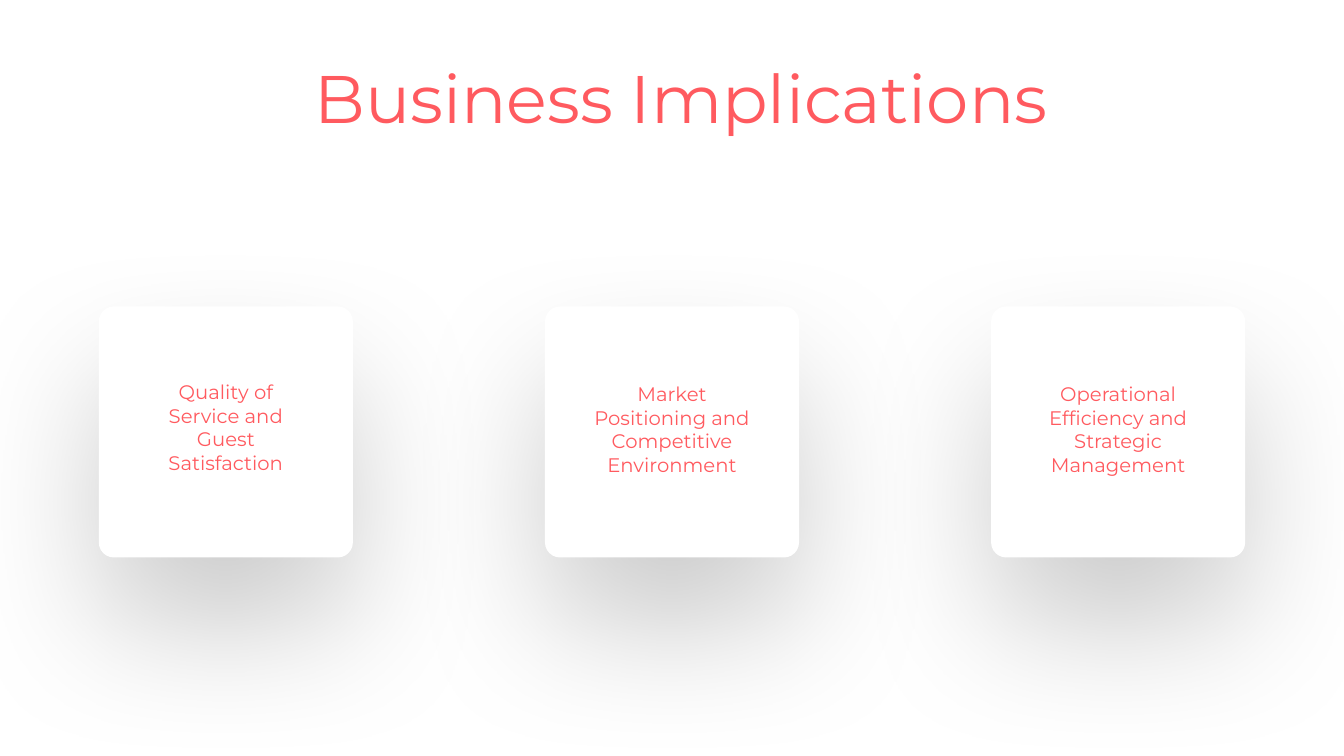
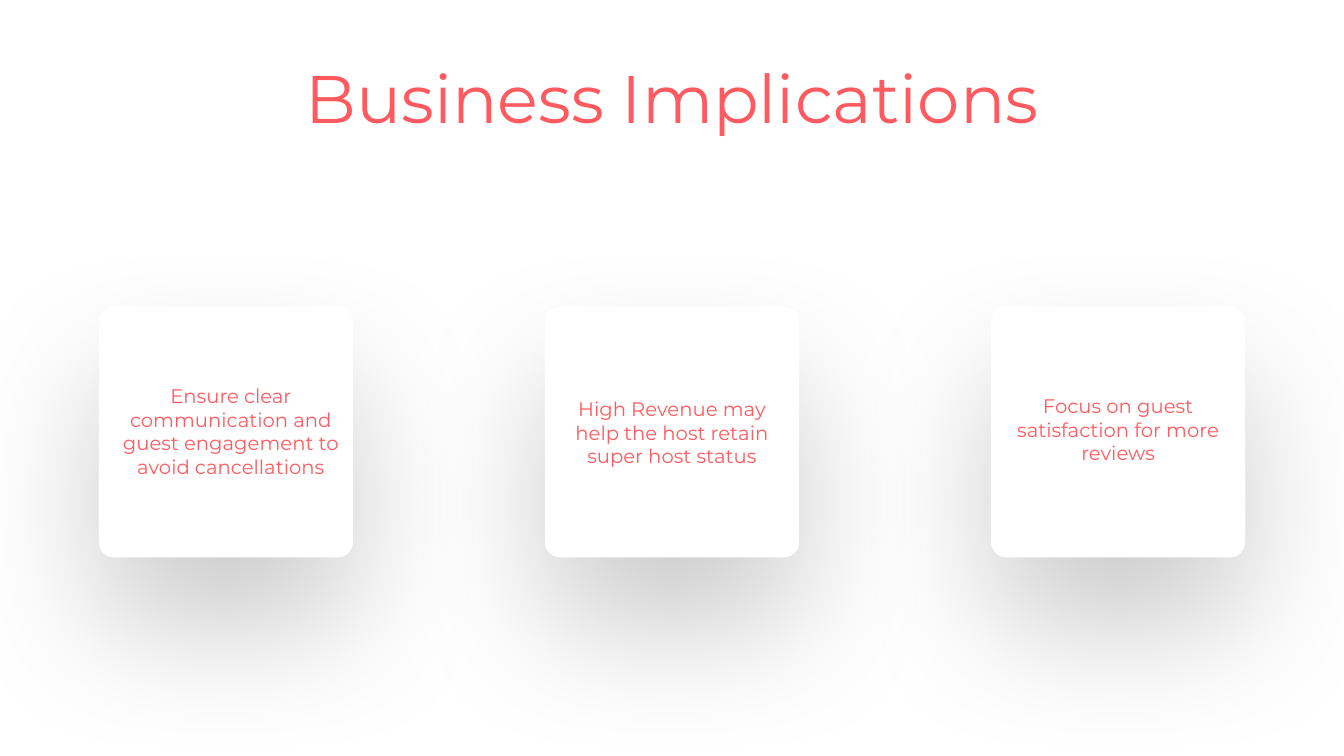
from dataclasses import dataclass

from lxml.etree import SubElement
from pptx import Presentation
from pptx.dml.color import RGBColor
from pptx.enum.shapes import MSO_SHAPE
from pptx.enum.text import MSO_ANCHOR, PP_ALIGN
from pptx.oxml.ns import qn
from pptx.util import Inches, Pt


@dataclass(frozen=True)
class Theme:
    font: str = "Montserrat"
    coral: RGBColor = RGBColor(0xFF, 0x5A, 0x5F)
    white: RGBColor = RGBColor(0xFF, 0xFF, 0xFF)
    shadow: str = "000000"
    title_size: int = 48
    caption_size: int = 14


CARD_WIDTH, CARD_HEIGHT, CARD_TOP = 2.52, 2.49, 3.04
FIRST_CARD, LAST_CARD = 0.98, 9.83

# Each slide: title shift, caption width, then (caption, top, shift from card centre).
SLIDES = [
    (0.09, 1.88, [
        ("Quality of Service and Guest Satisfaction", 3.72, 0),
        ("Market Positioning and Competitive Environment", 3.74, 0),
        ("Operational Efficiency and Strategic Management", 3.74, 0),
    ]),
    (0, 2.42, [
        ("Ensure clear communication and guest engagement to avoid cancellations", 3.76, 0.05),
        ("High Revenue may help the host retain super host status", 3.89, 0),
        ("Focus on guest satisfaction for more reviews", 3.86, 0),
    ]),
]


class DeckBuilder:
    def __init__(self, theme):
        self.theme = theme
        self.deck = Presentation()
        self.deck.slide_width, self.deck.slide_height = Inches(13.33), Inches(7.5)
        self.page = None

    def add_page(self):
        self.page = self.deck.slides.add_slide(self.deck.slide_layouts[6])

    def add_text(self, text, left, top, width, height, *, size,
                 anchor=MSO_ANCHOR.TOP, line_spacing=None, shapes=None):
        shapes = shapes or self.page.shapes
        box = shapes.add_textbox(Inches(left), Inches(top), Inches(width), Inches(height))
        frame = box.text_frame
        frame.word_wrap = True
        frame.vertical_anchor = anchor
        para = frame.paragraphs[0]
        para.alignment = PP_ALIGN.CENTER
        para.line_spacing = line_spacing
        span = para.add_run()
        span.text = text
        span.font.name = self.theme.font
        span.font.size = Pt(size)
        span.font.color.rgb = self.theme.coral

    def add_title(self, text, shift):
        self.add_text(text, 1.08 + shift, 0.6, 11.17, 0.82, size=self.theme.title_size,
                      anchor=MSO_ANCHOR.MIDDLE, line_spacing=0.9)

    def add_soft_shadow(self, shape):
        shape.shadow.inherit = False
        effects = shape._element.spPr.find(qn("a:effectLst"))
        shadow = SubElement(effects, qn("a:outerShdw"), blurRad=str(Pt(100)),
                            dist=str(Pt(50)), dir="5400000", algn="ctr", rotWithShape="0")
        color = SubElement(shadow, qn("a:srgbClr"), val=self.theme.shadow)
        SubElement(color, qn("a:alpha"), val="20000")

    def add_card(self, left, caption, caption_top, caption_width, shift):
        shapes = self.page.shapes.add_group_shape().shapes
        card = shapes.add_shape(MSO_SHAPE.ROUNDED_RECTANGLE, Inches(left), Inches(CARD_TOP),
                                Inches(CARD_WIDTH), Inches(CARD_HEIGHT))
        card.adjustments[0] = 0.06
        card.fill.solid()
        card.fill.fore_color.rgb = self.theme.white
        card.line.fill.background()
        self.add_soft_shadow(card)
        caption_left = left + (CARD_WIDTH - caption_width) / 2 + shift
        self.add_text(caption, caption_left, caption_top, caption_width, 1.1,
                      size=self.theme.caption_size, shapes=shapes)


def main():
    builder = DeckBuilder(Theme())
    for title_shift, caption_width, cards in SLIDES:
        builder.add_page()
        builder.add_title("Business Implications", title_shift)
        pitch = (LAST_CARD - FIRST_CARD) / (len(cards) - 1)
        for index, (caption, top, shift) in enumerate(cards):
            builder.add_card(FIRST_CARD + index * pitch, caption, top, caption_width, shift)
    builder.deck.save("out.pptx")


if __name__ == "__main__":
    main()
